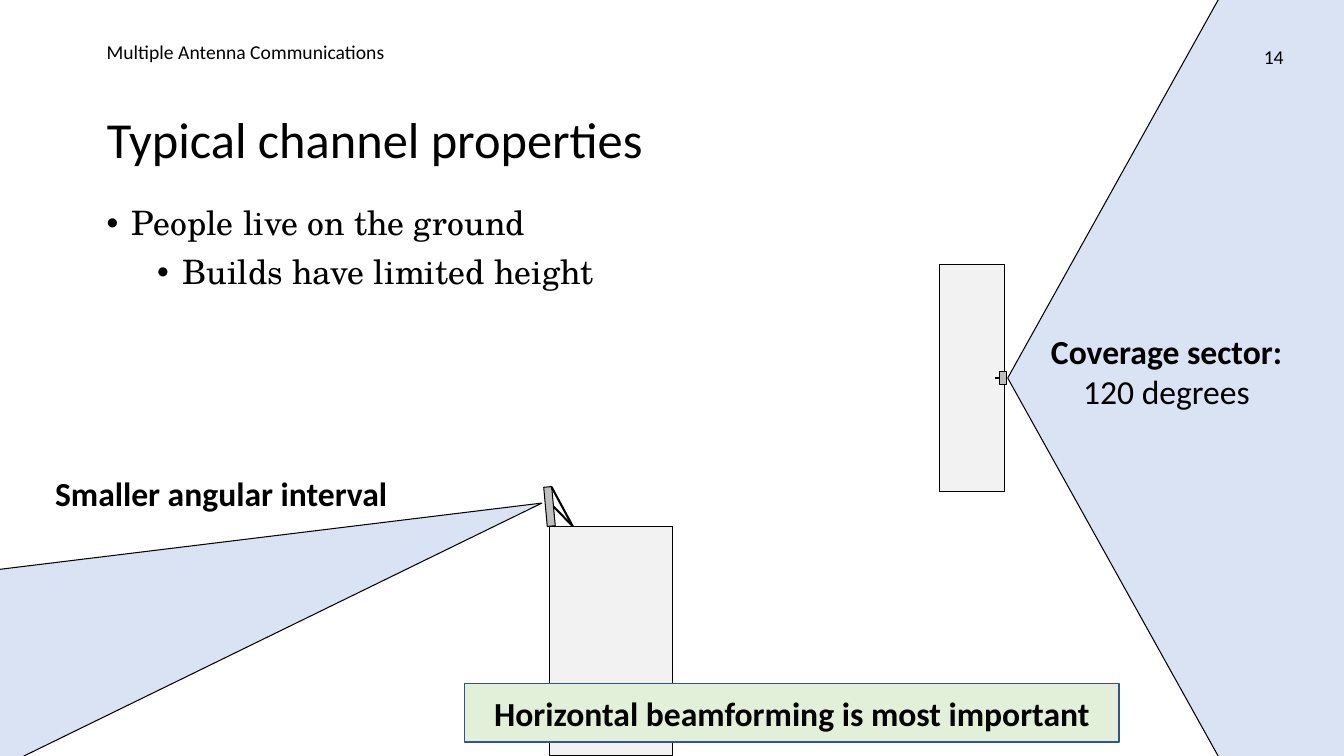
import pptx
import pptx.util
import pptx.dml.color
import pptx.oxml
import pptx.oxml.ns
from pptx.enum.dml import MSO_FILL
from pptx.enum.shapes import MSO_CONNECTOR, MSO_SHAPE
from pptx.enum.text import MSO_ANCHOR, MSO_AUTO_SIZE, PP_ALIGN

Inches = pptx.util.Inches
Pt = pptx.util.Pt

BLACK, WALL, METAL = "000000", "F2F2F2", "BFBFBF"
BEAM, RESULT_FILL, RESULT_EDGE = "DAE3F3", "E2F0D9", "325491"

TITLE = "Typical channel properties"
COURSE = "Multiple Antenna Communications"
PAGE = "14"
POINTS = [("People live on the ground", 0), ("Builds have limited height", 1)]
SECTOR_LABEL = ["Coverage sector:", "120 degrees"]
INTERVAL_LABEL = ["Smaller angular interval"]
CONCLUSION = "Horizontal beamforming is most important"

SECTOR = (4.73, 1.72, 14.59, 4.06)
INTERVAL = (0.98, 2.56, 2.28, 6.79)
LOW_BUILDING = (5.45, 5.22, 1.22, 2.28)
ROOF_PANEL = (5.41, 4.83, 0.08, 0.39)
TALL_BUILDING = (9.32, 2.62, 0.64, 2.26)
WALL_PANEL = (9.91, 3.69, 0.07, 0.12)
BRACE_FOOT = (5.68, 5.22)

deck = pptx.Presentation()
deck.slide_width, deck.slide_height = Inches(13.33), Inches(7.5)
slide = deck.slides.add_slide(deck.slide_layouts[5])


def colour(value):
    return pptx.dml.color.RGBColor.from_string(value)


def inches(numbers):
    return [Inches(number) for number in numbers]


def solid(kind, place, fill, edge=BLACK, weight=0.75, turn=0):
    part = slide.shapes.add_shape(kind, *inches(place))
    part.rotation = turn
    part.shadow.inherit = False
    part.fill.solid()
    part.fill.fore_color.rgb = colour(fill)
    part.line.color.rgb = colour(edge)
    part.line.width = Pt(weight)
    return part


def strut(start, end):
    part = slide.shapes.add_connector(MSO_CONNECTOR.STRAIGHT, *inches(start + end))
    part.line.color.rgb = colour(BLACK)
    part.line.width = Pt(1.5)
    part._element.spPr.append(pptx.oxml.parse_xml(
        '<a:effectLst xmlns:a="http://schemas.openxmlformats.org/drawingml/2006/main"/>'))
    return part


def write(paragraph, text, size=24, font="Calibri", bold=False,
          align=PP_ALIGN.LEFT, spacing=None):
    paragraph.alignment = align
    if spacing:
        paragraph.line_spacing = spacing
    run = paragraph.add_run()
    run.text = text
    run.font.size = Pt(size)
    run.font.name = font
    run.font.bold = bold
    run.font.color.rgb = colour(BLACK)


def text_frame(place, wrap=True, anchor=MSO_ANCHOR.TOP):
    frame = slide.shapes.add_textbox(*inches(place)).text_frame
    frame.word_wrap = wrap
    frame.vertical_anchor = anchor
    return frame


def next_paragraph(frame, index):
    return frame.add_paragraph() if index else frame.paragraphs[0]


def bullet(paragraph, level):
    paragraph.level = level
    properties = paragraph._p.get_or_add_pPr()
    properties.set("marL", str(Inches(0.25 + 0.5 * level)))
    properties.set("indent", str(Inches(-0.25)))
    for tag, key, value in (("buFont", "typeface", "Arial"), ("buChar", "char", "•")):
        mark = properties.makeelement(pptx.oxml.ns.qn("a:" + tag), {key: value})
        properties.append(mark)


def label(lines, place):
    frame = text_frame(place, wrap=False)
    frame.auto_size = MSO_AUTO_SIZE.SHAPE_TO_FIT_TEXT
    for index, line in enumerate(lines):
        write(next_paragraph(frame, index), line, bold=index == 0,
              align=PP_ALIGN.CENTER)


solid(MSO_SHAPE.ISOSCELES_TRIANGLE, SECTOR, BEAM, turn=270)

title = slide.shapes.title
title.left, title.top, title.width, title.height = inches((0.96, 1.09, 11.87, 0.91))
title.text_frame.vertical_anchor = MSO_ANCHOR.TOP
title.text_frame.auto_size = MSO_AUTO_SIZE.NONE
write(title.text_frame.paragraphs[0], TITLE, size=36, spacing=0.9)
slide.shapes._spTree.append(title._element)

points = text_frame((0.96, 2, 11.87, 4.45))
for index, (point, level) in enumerate(POINTS):
    paragraph = next_paragraph(points, index)
    bullet(paragraph, level)
    if index:
        paragraph.space_before = Pt(9)
    write(paragraph, point, font="TeX Gyre Schola", spacing=0.9)

course = text_frame((0.96, 0.39, 8.93, 0.29), anchor=MSO_ANCHOR.BOTTOM)
write(course.paragraphs[0], COURSE, size=14)
page = text_frame((12.02, 0.4, 0.81, 0.29))
write(page.paragraphs[0], PAGE, size=14, align=PP_ALIGN.RIGHT)

solid(MSO_SHAPE.RECTANGLE, LOW_BUILDING, WALL)
roof_panel = solid(MSO_SHAPE.RECTANGLE, ROOF_PANEL, METAL, turn=354.8)
strut((5.47, 4.83), BRACE_FOOT)
strut((5.49, 5.02), BRACE_FOOT).begin_connect(roof_panel, 3)
solid(MSO_SHAPE.ISOSCELES_TRIANGLE, INTERVAL, BEAM, turn=73.5)

solid(MSO_SHAPE.RECTANGLE, TALL_BUILDING, WALL)
wall_panel = solid(MSO_SHAPE.RECTANGLE, WALL_PANEL, METAL)
strut((9.87, 3.75), (9.91, 3.75)).end_connect(wall_panel, 1)

label(SECTOR_LABEL, (10.31, 3.23, 2.52, 0.91))
label(INTERVAL_LABEL, (0.43, 4.64, 3.53, 0.5))

conclusion = solid(MSO_SHAPE.RECTANGLE, (4.61, 6.78, 6.49, 0.58), RESULT_FILL,
                   edge=RESULT_EDGE, weight=1).text_frame
conclusion.vertical_anchor = MSO_ANCHOR.MIDDLE
conclusion.paragraphs[0].space_after = Pt(6)
write(conclusion.paragraphs[0], CONCLUSION, bold=True, align=PP_ALIGN.CENTER)

deck.save("out.pptx")
